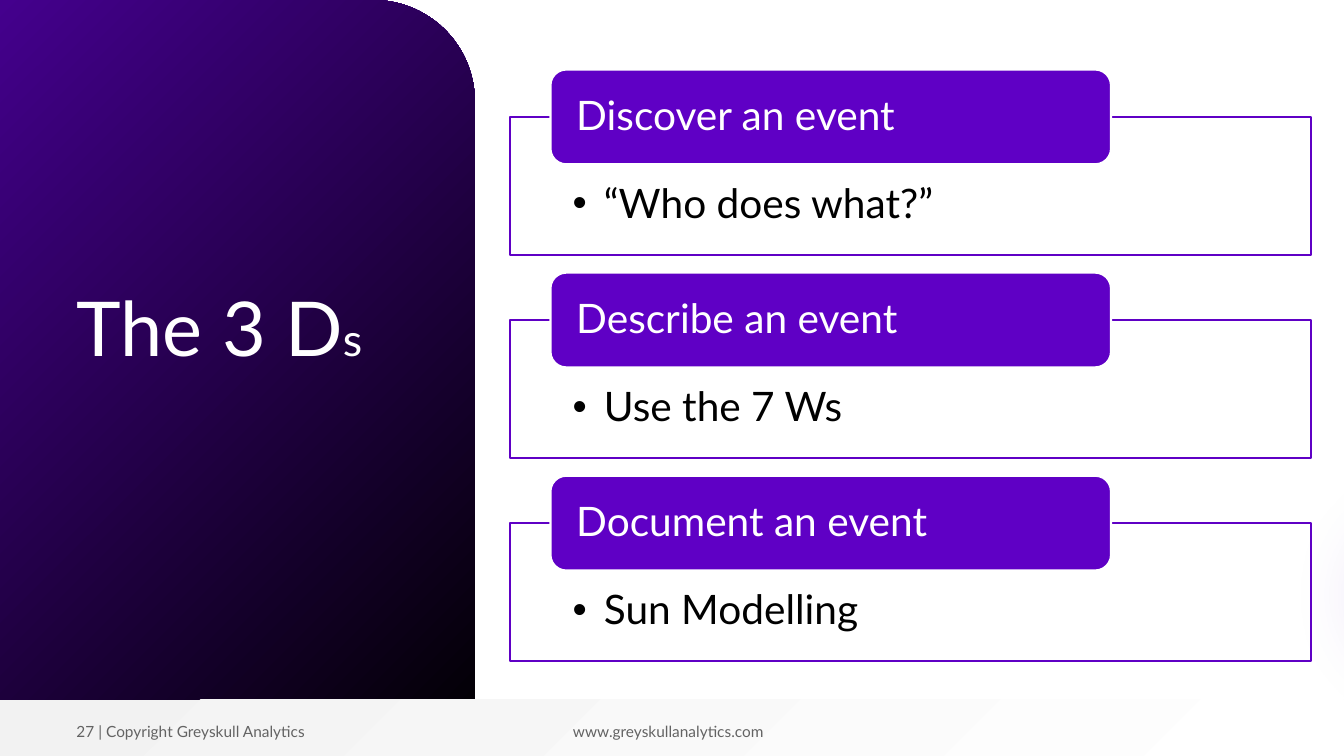
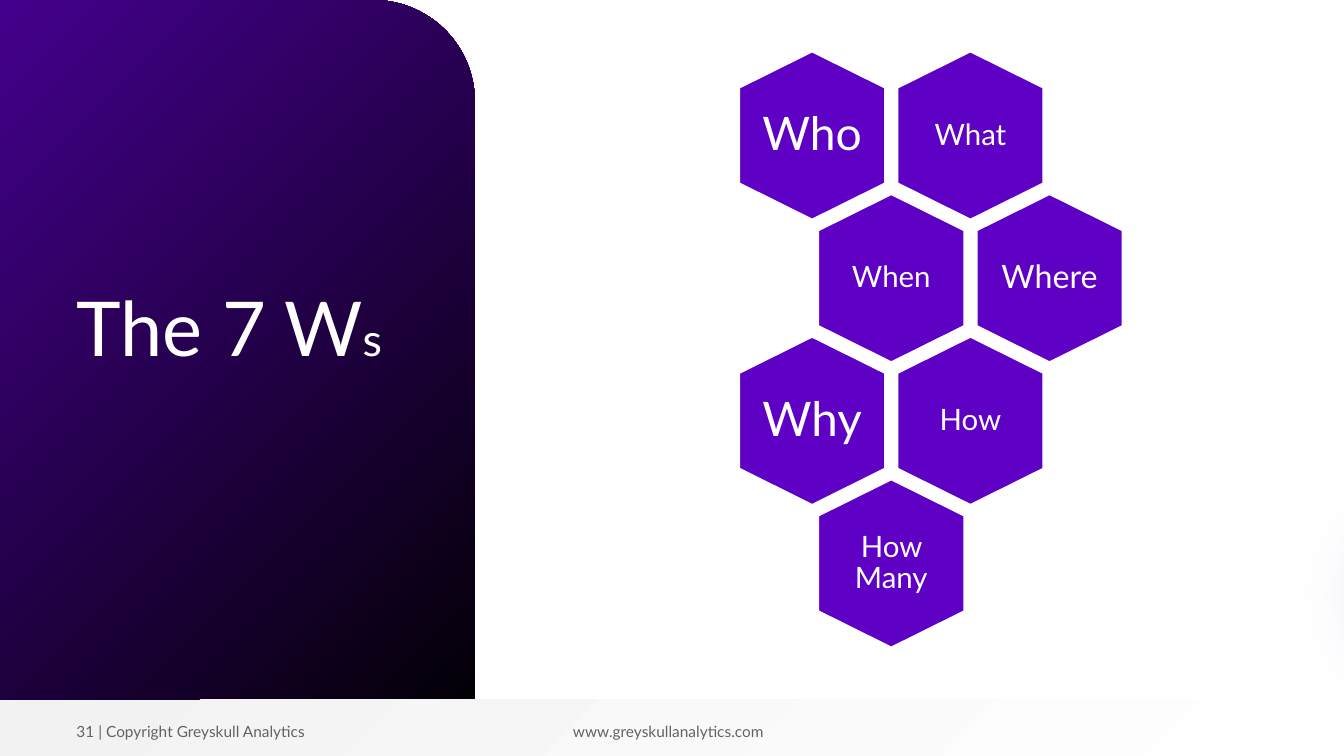
import pptx
import pptx.dml.color
import pptx.enum.shapes
import pptx.enum.text
import pptx.oxml.ns
import pptx.util
import lxml.etree

Inches = pptx.util.Inches
Pt = pptx.util.Pt
SHAPES = pptx.enum.shapes.MSO_SHAPE
ALIGN = pptx.enum.text.PP_ALIGN
ANCHOR = pptx.enum.text.MSO_ANCHOR

FONT = "Lato"
COLORS = {
    "purple": "5F00C5",
    "deep_purple": "44008D",
    "black": "000000",
    "white": "FFFFFF",
    "light_grey": "F2F2F2",
    "footer_text": "636363",
}
SLIDE_WIDTH, SLIDE_HEIGHT = 13.33, 7.5

STEPS = [
    ("Discover an event", "“Who does what?”"),
    ("Describe an event", "Use the 7 Ws"),
    ("Document an event", "Sun Modelling"),
]
STEP_TOP, STEP_PITCH = 0.69, 2.015

# Rows of (word, text size); every second row is shifted by half a column
QUESTION_ROWS = [
    [("Who", 33), ("What", 21)],
    [("When", 21), ("Where", 23)],
    [("Why", 34), ("How", 21)],
    [("How Many", 21)],
]
HEXAGON_LEFT, HEXAGON_TOP = 7.33, 0.51
HEXAGON_WIDTH, HEXAGON_HEIGHT, HEXAGON_SHOULDER = 1.45, 1.67, 0.36
COLUMN_PITCH, ROW_PITCH = 1.57, 1.415


# Formatting helpers
def rgb(name):
    return pptx.dml.color.RGBColor.from_string(COLORS[name])


def add_xml(parent, tag, **attributes):
    return lxml.etree.SubElement(parent, pptx.oxml.ns.qn(tag), **attributes)


def fill_solid(shape, color, opacity=100):
    shape.fill.solid()
    shape.fill.fore_color.rgb = rgb(color)
    if opacity < 100:
        color_element = next(shape.element.spPr.iter(pptx.oxml.ns.qn("a:srgbClr")))
        add_xml(color_element, "a:alpha", val=str(opacity * 1000))


def fill_gradient(shape, start, end):
    shape.fill.gradient()
    shape.fill.gradient_angle = 315
    for stop, position, color in zip(shape.fill.gradient_stops, (0, 1), (start, end)):
        stop.position = position
        stop.color.rgb = rgb(color)


def set_line(shape, color=None):
    if color is None:
        shape.line.fill.background()
    else:
        shape.line.color.rgb = rgb(color)
        shape.line.width = Pt(1.5)


def format_frame(frame, horizontal_inset, top_inset, bottom_inset, anchor):
    frame.word_wrap = True
    frame.auto_size = pptx.enum.text.MSO_AUTO_SIZE.NONE
    frame.vertical_anchor = anchor
    frame.margin_left = frame.margin_right = Inches(horizontal_inset)
    frame.margin_top = Inches(top_inset)
    frame.margin_bottom = Inches(bottom_inset)


def format_run(run, size, color):
    run.font.name = FONT
    run.font.size = Pt(size)
    run.font.color.rgb = rgb(color)


def write_text(frame, text, size, color, align=ALIGN.LEFT, line_spacing=None):
    frame.text = text
    paragraph = frame.paragraphs[0]
    paragraph.alignment = align
    paragraph.line_spacing = line_spacing
    format_run(paragraph.runs[0], size, color)
    return paragraph


def add_bullet(paragraph, indent):
    properties = paragraph._p.get_or_add_pPr()
    properties.set("marL", str(Inches(indent)))
    properties.set("indent", str(-Inches(indent)))
    add_xml(properties, "a:buFont", typeface="Arial")
    add_xml(properties, "a:buChar", char="•")


# Shared slide elements
def add_preset(slide, preset, left, top, width, height):
    shape = slide.shapes.add_shape(
        preset, Inches(left), Inches(top), Inches(width), Inches(height))
    shape.shadow.inherit = False
    return shape


def add_footer_text(slide, text, left, width, align):
    box = slide.shapes.add_textbox(
        Inches(left), Inches(7.11), Inches(width), Inches(0.29))
    format_frame(box.text_frame, 0.1, 0.05, 0.05, ANCHOR.MIDDLE)
    write_text(box.text_frame, text, 11, "footer_text", align)


def add_background(slide, page_number):
    # Side panel
    panel = add_preset(slide, SHAPES.ROUND_1_RECTANGLE, 0, 0, 4.71, SLIDE_HEIGHT)
    panel.adjustments[0] = 0.214
    fill_gradient(panel, "deep_purple", "black")
    set_line(panel)

    # Soft glow at the right edge
    glow = add_preset(slide, SHAPES.OVAL, 12.39, 4.03, 3.74, 3.74)
    fill_solid(glow, "purple", opacity=20)
    set_line(glow)
    effects = glow.element.spPr.find(pptx.oxml.ns.qn("a:effectLst"))
    add_xml(effects, "a:softEdge", rad=str(Inches(0.9)))

    # Footer band
    band = add_preset(slide, SHAPES.RECTANGLE, 0, 6.94, SLIDE_WIDTH, 0.56)
    fill_gradient(band, "light_grey", "white")
    set_line(band)
    add_footer_text(slide, f"{page_number} | Copyright Greyskull Analytics",
                    0.66, 2.94, ALIGN.LEFT)
    add_footer_text(slide, "www.greyskullanalytics.com", 5.35, 2.56, ALIGN.CENTER)


def place_title(slide, text, suffix):
    title = slide.shapes.title
    title.left, title.top = Inches(0.66), Inches(1.6)
    title.width, title.height = Inches(3.59), Inches(2.14)
    format_frame(title.text_frame, 0.1, 0.05, 0.05, ANCHOR.BOTTOM)
    paragraph = write_text(title.text_frame, text, 54, "white")
    suffix_run = paragraph.add_run()
    suffix_run.text = suffix
    format_run(suffix_run, 32, "white")
    # Bring the title in front of the side panel
    title.element.getparent().append(title.element)


def add_titled_slide(presentation, title, suffix, page_number):
    slide = presentation.slides.add_slide(
        presentation.slide_layouts.get_by_name("Title Only"))
    add_background(slide, page_number)
    place_title(slide, title, suffix)
    return slide


# Content elements
def add_step(slide, top, heading, detail):
    frame = add_preset(slide, SHAPES.RECTANGLE, 5.06, top + 0.47, 7.94, 1.37)
    fill_solid(frame, "white", opacity=90)
    set_line(frame, "purple")
    format_frame(frame.text_frame, 0.62, 0.66, 0.23, ANCHOR.TOP)
    paragraph = write_text(frame.text_frame, detail, 29, "black", line_spacing=0.9)
    add_bullet(paragraph, 0.31)

    label = add_preset(slide, SHAPES.ROUNDED_RECTANGLE, 5.46, top, 5.56, 0.94)
    fill_solid(label, "purple")
    set_line(label, "white")
    format_frame(label.text_frame, 0.21, 0, 0, ANCHOR.MIDDLE)
    write_text(label.text_frame, heading, 29, "white", line_spacing=0.9)


def add_hexagon(slide, left, top, word, size):
    middle, right = left + HEXAGON_WIDTH / 2, left + HEXAGON_WIDTH
    bottom = top + HEXAGON_HEIGHT
    upper, lower = top + HEXAGON_SHOULDER, bottom - HEXAGON_SHOULDER
    corners = [(right, upper), (right, lower), (middle, bottom),
               (left, lower), (left, upper)]
    builder = slide.shapes.build_freeform(Inches(middle), Inches(top))
    builder.add_line_segments([(Inches(x), Inches(y)) for x, y in corners], close=True)
    hexagon = builder.convert_to_shape()
    hexagon.shadow.inherit = False
    fill_solid(hexagon, "purple")
    set_line(hexagon, "white")
    format_frame(hexagon.text_frame, 0.23, 0.26, 0.26, ANCHOR.MIDDLE)
    write_text(hexagon.text_frame, word, size, "white", ALIGN.CENTER, 0.9)


def main():
    presentation = pptx.Presentation()
    presentation.slide_width = Inches(SLIDE_WIDTH)
    presentation.slide_height = Inches(SLIDE_HEIGHT)

    # The three steps
    slide = add_titled_slide(presentation, "The 3 D", "s", 27)
    for index, (heading, detail) in enumerate(STEPS):
        add_step(slide, STEP_TOP + index * STEP_PITCH, heading, detail)

    # The seven questions
    slide = add_titled_slide(presentation, "The 7 W", "s", 31)
    for row, questions in enumerate(QUESTION_ROWS):
        for column, (word, size) in enumerate(questions):
            left = HEXAGON_LEFT + (column + row % 2 / 2) * COLUMN_PITCH
            add_hexagon(slide, left, HEXAGON_TOP + row * ROW_PITCH, word, size)

    presentation.save("out.pptx")


if __name__ == "__main__":
    main()
